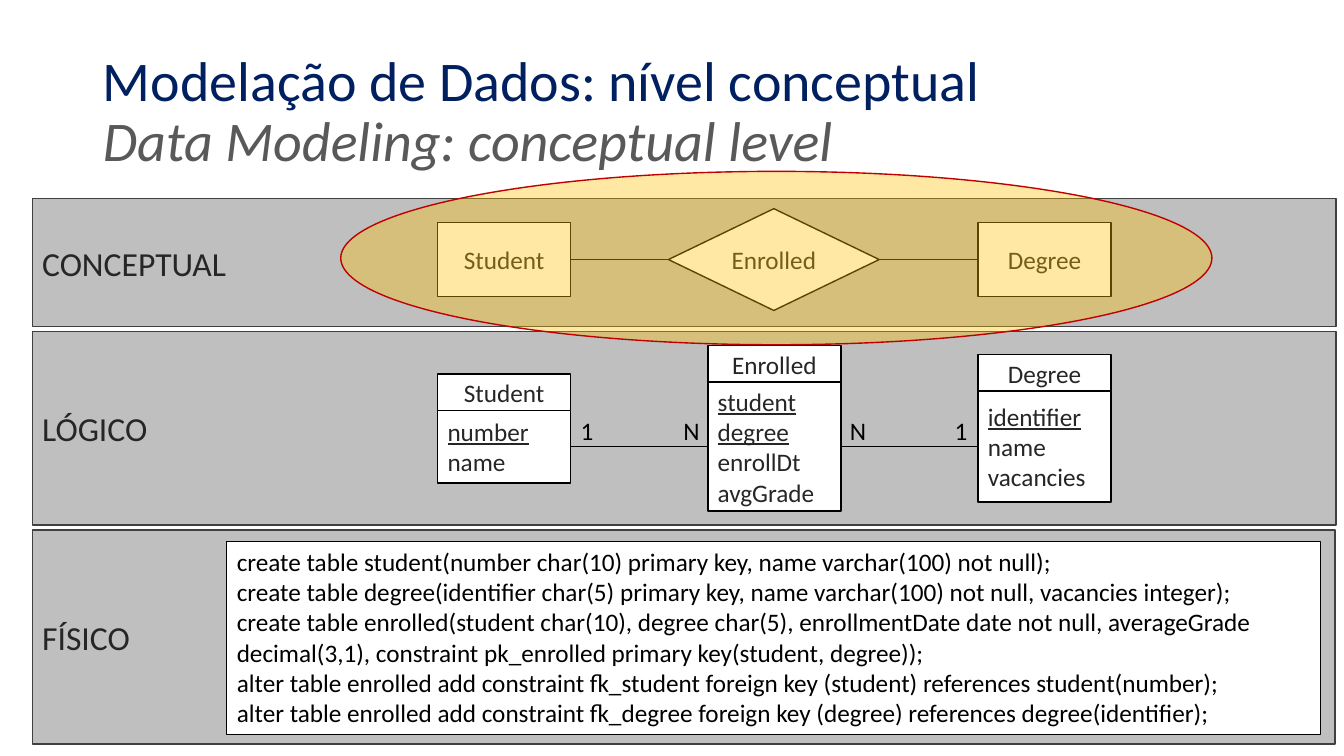
from lxml import etree
from pptx import Presentation
from pptx.dml.color import RGBColor
from pptx.enum.shapes import MSO_CONNECTOR, MSO_SHAPE
from pptx.enum.text import MSO_ANCHOR, PP_ALIGN
from pptx.oxml.ns import qn
from pptx.util import Inches, Pt

RECTANGLE, DIAMOND, OVAL = MSO_SHAPE.RECTANGLE, MSO_SHAPE.DIAMOND, MSO_SHAPE.OVAL
STRAIGHT = MSO_CONNECTOR.STRAIGHT
LEFT, CENTER = PP_ALIGN.LEFT, PP_ALIGN.CENTER
TOP, MIDDLE = MSO_ANCHOR.TOP, MSO_ANCHOR.MIDDLE

NAVY = RGBColor(0x00, 0x20, 0x60)
SUBTITLE_GRAY = RGBColor(0x59, 0x59, 0x59)
BAND_GRAY = RGBColor(0xBF, 0xBF, 0xBF)
BAND_LINE = RGBColor(0x40, 0x40, 0x40)
TEXT_GRAY = RGBColor(0x26, 0x26, 0x26)
BLACK = RGBColor(0x00, 0x00, 0x00)
WHITE = RGBColor(0xFF, 0xFF, 0xFF)
GOLD = RGBColor(0xFF, 0xC0, 0x00)
RED = RGBColor(0xC0, 0x00, 0x00)

FONT = "Calibri"
BOX_WIDTH = 1.32
HEADER_HEIGHT = 0.37
STUDENT_LEFT, ENROLLED_LEFT, DEGREE_LEFT = 4.34, 7.02, 9.7

BANDS = [
    ("FÍSICO", 5.26, 12.92, 2.12),
    ("LÓGICO", 3.29, 12.93, 1.92),
    ("CONCEPTUAL", 1.97, 12.93, 1.27),
]
TABLES = [
    ("Degree", DEGREE_LEFT, 3.52, 1.1, ["identifier", "name", "vacancies"], 1),
    ("Student", STUDENT_LEFT, 3.71, 0.72, ["number", "name"], 1),
    ("Enrolled", ENROLLED_LEFT, 3.43, 1.28,
     ["student", "degree", "enrollDt", "avgGrade"], 2),
]
CARDINALITIES = [("1", 5.66, 0.33), ("1", 9.37, 0.33), ("N", 8.33, 0.36), ("N", 6.68, 0.36)]
SQL = [
    "create table student(number char(10) primary key, name varchar(100) not null);",
    "create table degree(identifier char(5) primary key, name varchar(100) not null, vacancies integer);",
    "create table enrolled(student char(10), degree char(5), enrollmentDate date not null, "
    "averageGrade decimal(3,1), constraint pk_enrolled primary key(student, degree));",
    "alter table enrolled add constraint fk_student foreign key (student) references student(number);",
    "alter table enrolled add constraint fk_degree foreign key (degree) references degree(identifier);",
]


def format_run(run, size, color):
    run.font.name = FONT
    run.font.size = Pt(size)
    run.font.color.rgb = color


def write_lines(shape, lines, size=18, color=TEXT_GRAY, align=LEFT, anchor=MIDDLE):
    text_frame = shape.text_frame
    text_frame.text = "\n".join(lines)
    text_frame.word_wrap = align == LEFT
    text_frame.vertical_anchor = anchor
    for paragraph in text_frame.paragraphs:
        paragraph.alignment = align
        for run in paragraph.runs:
            format_run(run, size, color)


def add_box(shapes, kind, left, top, width, height, fill=WHITE, line=BLACK, line_width=1):
    shape = shapes.add_shape(kind, Inches(left), Inches(top), Inches(width), Inches(height))
    shape.shadow.inherit = False
    shape.fill.solid()
    shape.fill.fore_color.rgb = fill
    shape.line.color.rgb = line
    shape.line.width = Pt(line_width)
    return shape


def add_link(shapes, start, end, y):
    link = shapes.add_connector(STRAIGHT, Inches(start), Inches(y), Inches(end), Inches(y))
    link.line.color.rgb = BLACK
    link.line.width = Pt(0.5)
    etree.SubElement(link._element.spPr, qn("a:effectLst"))


def add_title(slide):
    title = slide.shapes.title
    title.left, title.top = Inches(0.92), Inches(0.4)
    title.width, title.height = Inches(11.5), Inches(1.45)
    title.text_frame.text = "Modelação de Dados: nível conceptual\vData Modeling: conceptual level"
    title.text_frame.vertical_anchor = MIDDLE
    paragraph = title.text_frame.paragraphs[0]
    paragraph.alignment = LEFT
    paragraph.line_spacing = 0.9
    for run, color in zip(paragraph.runs, (NAVY, SUBTITLE_GRAY)):
        format_run(run, 40, color)
    paragraph.runs[-1].font.italic = True


def add_band(shapes, label, top, width, height):
    band = add_box(shapes, RECTANGLE, 0.32, top, width, height, BAND_GRAY, BAND_LINE)
    write_lines(band, [label], size=24)


def add_conceptual_model(shapes):
    entities = [
        ("Student", RECTANGLE, STUDENT_LEFT, 2.21, BOX_WIDTH, 0.73),
        ("Degree", RECTANGLE, DEGREE_LEFT, 2.21, BOX_WIDTH, 0.73),
        ("Enrolled", DIAMOND, 6.63, 2.07, 2.09, 1.01),
    ]
    for name, kind, left, top, width, height in entities:
        write_lines(add_box(shapes, kind, left, top, width, height), [name], align=CENTER)
    add_link(shapes, 8.73, DEGREE_LEFT, 2.57)
    add_link(shapes, STUDENT_LEFT + BOX_WIDTH, 6.63, 2.57)


def add_logical_table(shapes, name, left, top, height, columns, key_count):
    header = add_box(shapes, RECTANGLE, left, top, BOX_WIDTH, HEADER_HEIGHT)
    write_lines(header, [name], align=CENTER)
    body = add_box(shapes, RECTANGLE, left, top + HEADER_HEIGHT - 0.01, BOX_WIDTH, height)
    write_lines(body, columns)
    for paragraph in body.text_frame.paragraphs[:key_count]:
        paragraph.runs[0].font.underline = True


def add_cardinality(shapes, label, left, width):
    box = shapes.add_textbox(Inches(left), Inches(4.07), Inches(width), Inches(0.4))
    write_lines(box, [label], color=BLACK, anchor=TOP)
    box.text_frame.word_wrap = False


def add_logical_model(shapes):
    for table in TABLES:
        add_logical_table(shapes, *table)
    for left in (STUDENT_LEFT, ENROLLED_LEFT):
        add_link(shapes, left + BOX_WIDTH, left + 2.68, 4.43)
    for cardinality in CARDINALITIES:
        add_cardinality(shapes, *cardinality)


def add_highlight(shapes):
    highlight = add_box(shapes, OVAL, 3.38, 1.7, 8.64, 1.72, GOLD, RED)
    color = highlight._element.spPr.find(qn("a:solidFill"))[0]
    etree.SubElement(color, qn("a:alpha"), val="36000")


def main():
    presentation = Presentation()
    presentation.slide_width, presentation.slide_height = Inches(13.33), Inches(7.5)
    slide = presentation.slides.add_slide(presentation.slide_layouts[5])
    shapes = slide.shapes
    for band in BANDS:
        add_band(shapes, *band)
    add_title(slide)
    script_box = add_box(shapes, RECTANGLE, 2.25, 5.37, 10.85, 1.92, line_width=0.75)
    write_lines(script_box, SQL, color=BLACK, anchor=TOP)
    add_conceptual_model(shapes.add_group_shape().shapes)
    add_logical_model(shapes.add_group_shape().shapes)
    add_highlight(shapes)
    presentation.save("out.pptx")


if __name__ == "__main__":
    main()
